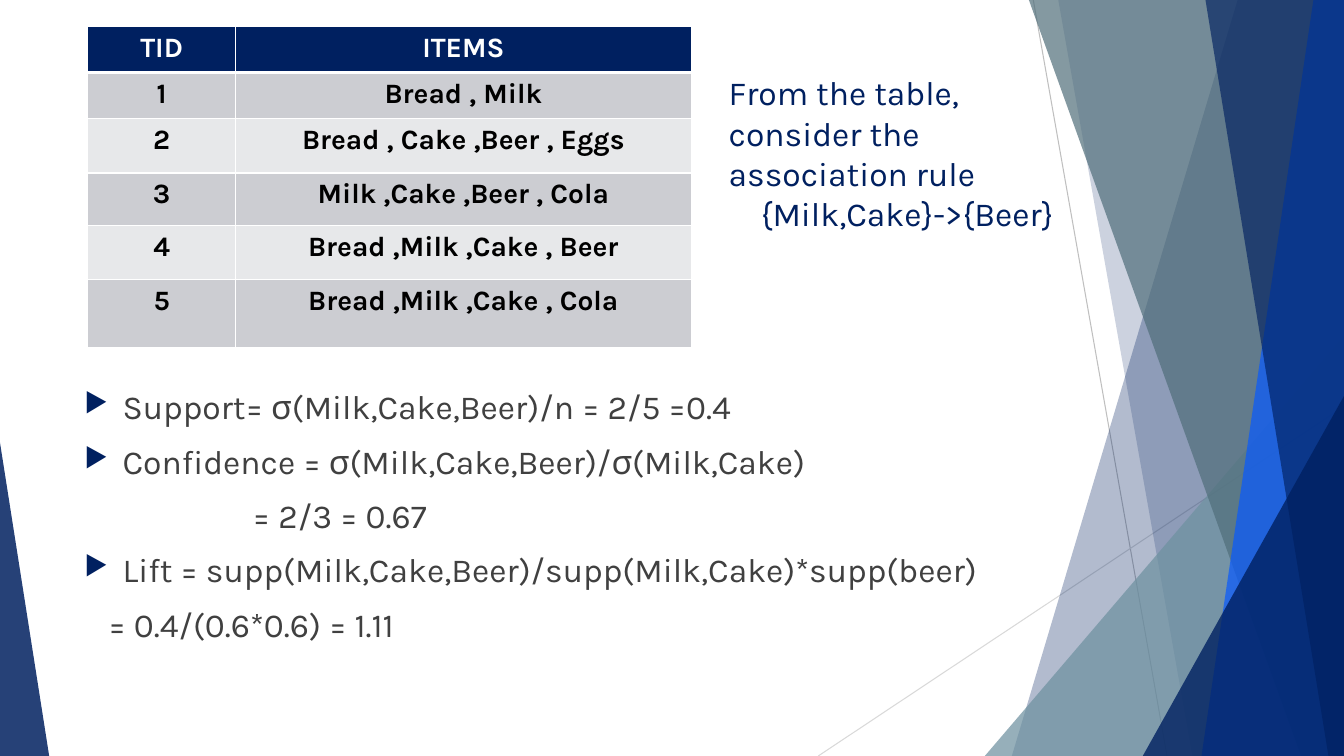
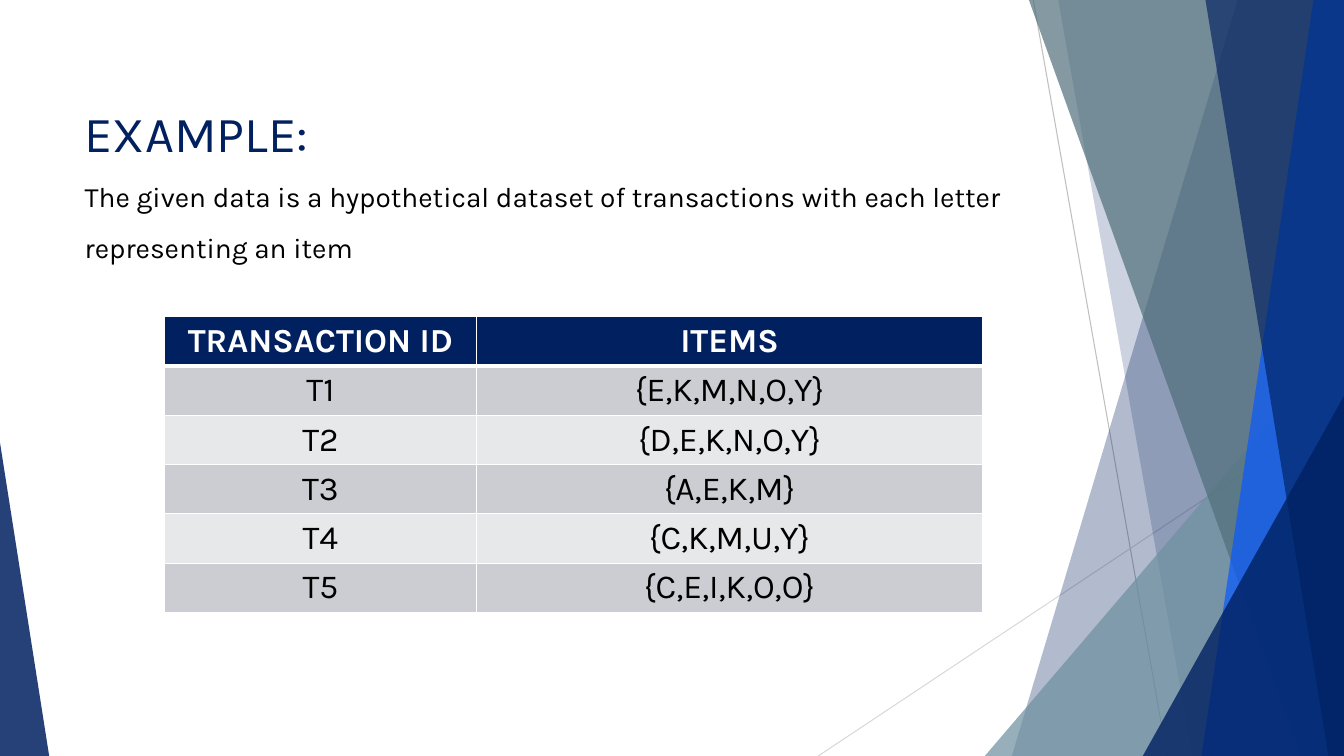
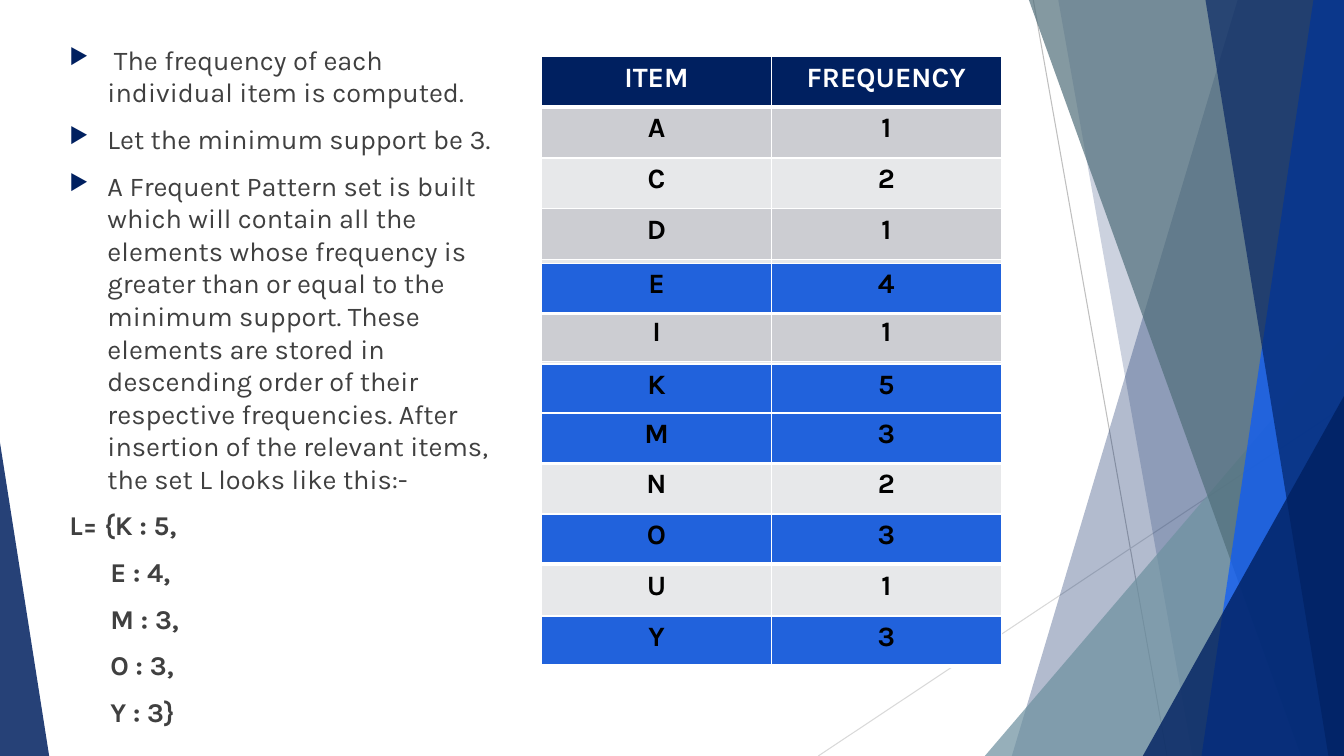
import lxml.etree
import pptx
import pptx.dml.color
import pptx.enum.shapes
import pptx.enum.text
import pptx.oxml.ns
import pptx.util

Cm = pptx.util.Cm
Pt = pptx.util.Pt
RGBColor = pptx.dml.color.RGBColor
PP_ALIGN = pptx.enum.text.PP_ALIGN
MSO_SHAPE = pptx.enum.shapes.MSO_SHAPE
qn = pptx.oxml.ns.qn

SLIDE_WIDTH, SLIDE_HEIGHT = 33.87, 19.05
FONT = "Karla"
NAVY = RGBColor(0x00, 0x20, 0x60)
BRIGHT_BLUE = RGBColor(0x07, 0x59, 0xFF)
HIGHLIGHT = RGBColor(0x21, 0x62, 0xDC)
MIST = RGBColor(0x6E, 0x91, 0xA0)
SLATE = RGBColor(0x50, 0x6E, 0x7A)
WHITE = RGBColor(0xFF, 0xFF, 0xFF)
BLACK = RGBColor(0x00, 0x00, 0x00)
BODY_GREY = RGBColor(0x40, 0x40, 0x40)
BANDS = (RGBColor(0xCC, 0xCD, 0xD2), RGBColor(0xE7, 0xE8, 0xEA))
LINE_GREY = RGBColor(0xBF, 0xBF, 0xBF)
LINE_PALE = RGBColor(0xD9, 0xD9, 0xD9)
BULLET_INDENT = 0.96


def apply_format(target, values):
    """Set each attribute named in the dict of format values."""
    for name, value in values.items():
        setattr(target, name, value)


def add_child(parent, tag, **attributes):
    """Append a drawing element with the given attributes."""
    child = lxml.etree.SubElement(parent, qn(tag))
    for name, value in attributes.items():
        child.set(name, str(value))
    return child


def add_run(paragraph, text, size, color, bold=False):
    """Add one run of text in the shared font."""
    run = paragraph.add_run()
    run.text = text
    apply_format(run.font, {"name": FONT, "size": Pt(size), "bold": bold})
    run.font.color.rgb = color


def fill_shape(shape, color, opacity):
    """Give a shape a see-through fill, no line and no shadow."""
    shape.shadow.inherit = False
    shape.line.fill.background()
    shape.fill.solid()
    shape.fill.fore_color.rgb = color
    color_element = shape.element.xpath("./p:spPr/a:solidFill/a:srgbClr")[0]
    add_child(color_element, "a:alpha", val=opacity * 1000)


def add_thin_line(shapes, start, end, color):
    """Draw a thin straight line between two points."""
    line = shapes.add_connector(
        pptx.enum.shapes.MSO_CONNECTOR.STRAIGHT, *map(Cm, start + end))
    line.line.width = Pt(0.75)
    line.line.color.rgb = color
    add_child(line.element.spPr, "a:effectLst")


def add_edge_panel(shapes, top_x, bottom_x, color, opacity):
    """Draw a full-height panel from a slanted side to the right edge."""
    builder = shapes.build_freeform(Cm(top_x), 0, scale=1.0)
    corners = [(SLIDE_WIDTH, 0), (SLIDE_WIDTH, SLIDE_HEIGHT), (bottom_x, SLIDE_HEIGHT)]
    builder.add_line_segments([(Cm(x), Cm(y)) for x, y in corners])
    fill_shape(builder.convert_to_shape(), color, opacity)


def add_corner(shapes, left, right, top, peak, color, opacity):
    """Draw a right-angled triangle standing on the bottom edge."""
    shape = shapes.add_shape(
        MSO_SHAPE.ISOSCELES_TRIANGLE,
        Cm(left), Cm(top), Cm(right - left), Cm(SLIDE_HEIGHT - top))
    shape.adjustments[0] = peak
    fill_shape(shape, color, opacity)


def add_master_decoration(presentation, slide):
    """Draw the facets as a group on a slide and move it to the master."""
    group = slide.shapes.add_group_shape()
    shapes = group.shapes
    add_thin_line(shapes, (26.04, 0), (29.41, SLIDE_HEIGHT), LINE_GREY)
    add_thin_line(shapes, (SLIDE_WIDTH, 10.24), (20.62, SLIDE_HEIGHT), LINE_PALE)
    add_edge_panel(shapes, 31.19, 25.5, NAVY, 30)
    add_edge_panel(shapes, 26.67, 30.05, NAVY, 20)
    add_corner(shapes, 24.82, SLIDE_WIDTH, 8.46, 1, MIST, 72)
    add_edge_panel(shapes, 25.93, 32.79, SLATE, 70)
    add_edge_panel(shapes, 33.1, 30.28, BRIGHT_BLUE, 70)
    add_edge_panel(shapes, 30.38, 33.48, NAVY, 65)
    add_corner(shapes, 28.8, SLIDE_WIDTH, 9.98, 1, NAVY, 80)
    add_corner(shapes, 0, 1.24, 11.15, 0, NAVY, 85)
    for number, properties in enumerate(group.element.iter(qn("p:cNvPr")), 100):
        properties.set("id", str(number))
    presentation.slide_master.shapes.element.insert(2, group.element)


def format_paragraph(paragraph, indent=0, bullet=False, **values):
    """Set spacing, left indent in cm and an optional triangle bullet."""
    apply_format(paragraph, {"alignment": PP_ALIGN.LEFT, **values})
    properties = paragraph._p.get_or_add_pPr()
    properties.set("marL", str(Cm(indent)))
    properties.set("indent", str(-Cm(indent) if bullet else 0))
    if bullet:
        add_child(add_child(properties, "a:buClr"), "a:srgbClr", val=NAVY)
        add_child(properties, "a:buSzPct", val=80000)
        add_child(properties, "a:buChar", char="▶")


def prepare_frame(shape):
    """Make the text frame wrap, start at the top and keep its size."""
    apply_format(shape.text_frame, {
        "word_wrap": True,
        "auto_size": pptx.enum.text.MSO_AUTO_SIZE.NONE,
        "vertical_anchor": pptx.enum.text.MSO_ANCHOR.TOP,
    })
    return shape.text_frame


def add_lines(frame, lines, **values):
    """Fill a frame from (text, size, color, bold, indent, bullet) lines."""
    for number, (text, size, color, bold, indent, bullet) in enumerate(lines):
        paragraph = frame.add_paragraph() if number else frame.paragraphs[0]
        format_paragraph(paragraph, indent, bullet, **values)
        add_run(paragraph, text, size, color, bold)


def place_title(slide, box, lines, line_spacing=1.0):
    """Move the title placeholder into the box and fill it."""
    title = slide.shapes.title
    apply_format(title, dict(zip(("left", "top", "width", "height"), map(Cm, box))))
    add_lines(prepare_frame(title), lines,
              line_spacing=line_spacing, space_before=Pt(0))


def add_body(slide, box, size, entries, margin_top=0.13):
    """Add body text from (text, indent, bold) entries; no indent means a bullet."""
    frame = prepare_frame(slide.shapes.add_textbox(*map(Cm, box)))
    frame.margin_top = Cm(margin_top)
    lines = [(text, size, BODY_GREY, bold,
              BULLET_INDENT if indent is None else indent, indent is None)
             for text, indent, bold in entries]
    add_lines(frame, lines, space_before=Pt(10))


def set_borders(cell, top, bottom):
    """Give a cell white borders, with top and bottom widths in points."""
    properties = cell._tc.get_or_add_tcPr()
    for position, (side, width) in enumerate(
            (("L", 1), ("R", 1), ("T", top), ("B", bottom))):
        border = add_child(properties, "a:ln" + side, w=Pt(width))
        add_child(add_child(border, "a:solidFill"), "a:srgbClr", val=WHITE)
        properties.insert(position, border)


def add_table(slide, corner, widths, heights):
    """Add an empty table at a corner, with its columns and rows sized."""
    left, top = corner
    table = slide.shapes.add_table(
        len(heights), len(widths), Cm(left), Cm(top),
        Cm(sum(widths)), Cm(sum(heights))).table
    for column, width in zip(table.columns, widths):
        column.width = Cm(width)
    for row, height in zip(table.rows, heights):
        row.height = Cm(height)
    return table


def fill_row(row, texts, size, fill, color, bold, top=1, bottom=1):
    """Fill one table row with centred text on a plain colour."""
    for cell, text in zip(row.cells, texts):
        cell.fill.solid()
        cell.fill.fore_color.rgb = fill
        set_borders(cell, top, bottom)
        paragraph = cell.text_frame.paragraphs[0]
        paragraph.alignment = PP_ALIGN.CENTER
        add_run(paragraph, text, size, color, bold)


def add_banded_table(slide, corner, widths, heights, rows, size, bold=True):
    """Add a table with a navy header row and grey bands."""
    table = add_table(slide, corner, widths, heights)
    fill_row(table.rows[0], rows[0], size, NAVY, WHITE, True, bottom=3)
    for number, texts in enumerate(rows[1:]):
        fill_row(table.rows[number + 1], texts, size, BANDS[number % 2], BLACK, bold,
                 top=1 if number else 3)


def add_highlight_row(slide, corner, widths, height, texts, size):
    """Lay a one-row blue table over a row of a banded table."""
    table = add_table(slide, corner, widths, [height])
    fill_row(table.rows[0], texts, size, HIGHLIGHT, BLACK, True, bottom=3)


def build_rule_slide(slide):
    """Show baskets, the association rule and its measures."""
    place_title(slide, (18.11, 1.69, 8.89, 6.02), [
        ("From the table, consider the association rule", 24, NAVY, False, 0, False),
        ("{Milk,Cake}->{Beer}", 24, NAVY, False, 0.81, False),
    ])
    add_body(slide, (1.88, 5.99, 24.59, 10.77), 24, [
        ("Support= σ(Milk,Cake,Beer)/n = 2/5 =0.4", None, False),
        ("Confidence = σ(Milk,Cake,Beer)/σ(Milk,Cake)", None, False),
        ("= 2/3 = 0.67", 4.24, False),
        ("Lift = supp(Milk,Cake,Beer)/supp(Milk,Cake)*supp(beer)", None, False),
        ("= 0.4/(0.6*0.6) = 1.11", 0.6, False),
    ], margin_top=3.74)
    baskets = ["Bread , Milk", "Bread , Cake ,Beer , Eggs", "Milk ,Cake ,Beer , Cola",
               "Bread ,Milk ,Cake , Beer", "Bread ,Milk ,Cake , Cola"]
    rows = [("TID", "ITEMS")]
    rows += [(str(number), basket) for number, basket in enumerate(baskets, 1)]
    add_banded_table(slide, (2.21, 0.67), (3.73, 11.48),
                     (1.16, 1.16, 1.37, 1.32, 1.37, 1.7), rows, 20)


def build_example_slide(slide):
    """Introduce the transactions of the example."""
    place_title(slide, (1.88, 1.69, 23.88, 5.21), [
        ("EXAMPLE:", 36, NAVY, False, 0, False),
        ("The given data is a hypothetical dataset of transactions with each "
         "letter representing an item", 20, BLACK, False, 0, False),
    ], line_spacing=1.5)
    item_sets = ["E,K,M,N,O,Y", "D,E,K,N,O,Y", "A,E,K,M", "C,K,M,U,Y", "C,E,I,K,O,O"]
    rows = [("TRANSACTION ID", "ITEMS")]
    rows += [(f"T{number}", "{" + items + "}")
             for number, items in enumerate(item_sets, 1)]
    add_banded_table(slide, (4.14, 7.98), (7.87, 12.75), [1.24] * len(rows), rows, 24,
                     bold=False)


def build_frequency_slide(slide):
    """Count the items and highlight those with enough support."""
    add_body(slide, (1.5, 0.96, 11.38, 17.32), 19.4, [
        (" The frequency of each individual item is computed.", None, False),
        ("Let the minimum support be 3.", None, False),
        ("A Frequent Pattern set is built which will contain all the elements whose "
         "frequency is greater than or equal to the minimum support. These elements "
         "are stored in descending order of their respective frequencies. After "
         "insertion of the relevant items, the set L looks like this:-", None, False),
        ("L= {K : 5,", 0, True),
        *[(text, 1.03, True) for text in ("E : 4,", "M : 3,", "O : 3,", "Y : 3}")],
    ])
    frequencies = dict(A=1, C=2, D=1, E=4, I=1, K=5, M=3, N=2, O=3, U=1, Y=3)
    rows = [("ITEM", "FREQUENCY")]
    rows += [(item, str(count)) for item, count in frequencies.items()]
    left, widths = 13.65, (5.79, 5.79)
    add_banded_table(slide, (left, 1.42), widths, [1.28] * len(rows), rows, 20)
    highlight_tops = dict(K=9.17, E=6.63, M=10.41, O=12.95, Y=15.52)
    for item, top in highlight_tops.items():
        add_highlight_row(slide, (left, top), widths, 1.27,
                          (item, str(frequencies[item])), 20)


def main():
    """Build the three slides and save them."""
    presentation = pptx.Presentation()
    presentation.slide_width = Cm(SLIDE_WIDTH)
    presentation.slide_height = Cm(SLIDE_HEIGHT)
    title_only, blank = presentation.slide_layouts[5], presentation.slide_layouts[6]
    pages = [(title_only, build_rule_slide), (title_only, build_example_slide),
             (blank, build_frequency_slide)]
    for number, (layout, build) in enumerate(pages):
        slide = presentation.slides.add_slide(layout)
        if number == 0:
            add_master_decoration(presentation, slide)
        build(slide)
    presentation.save("out.pptx")


main()
